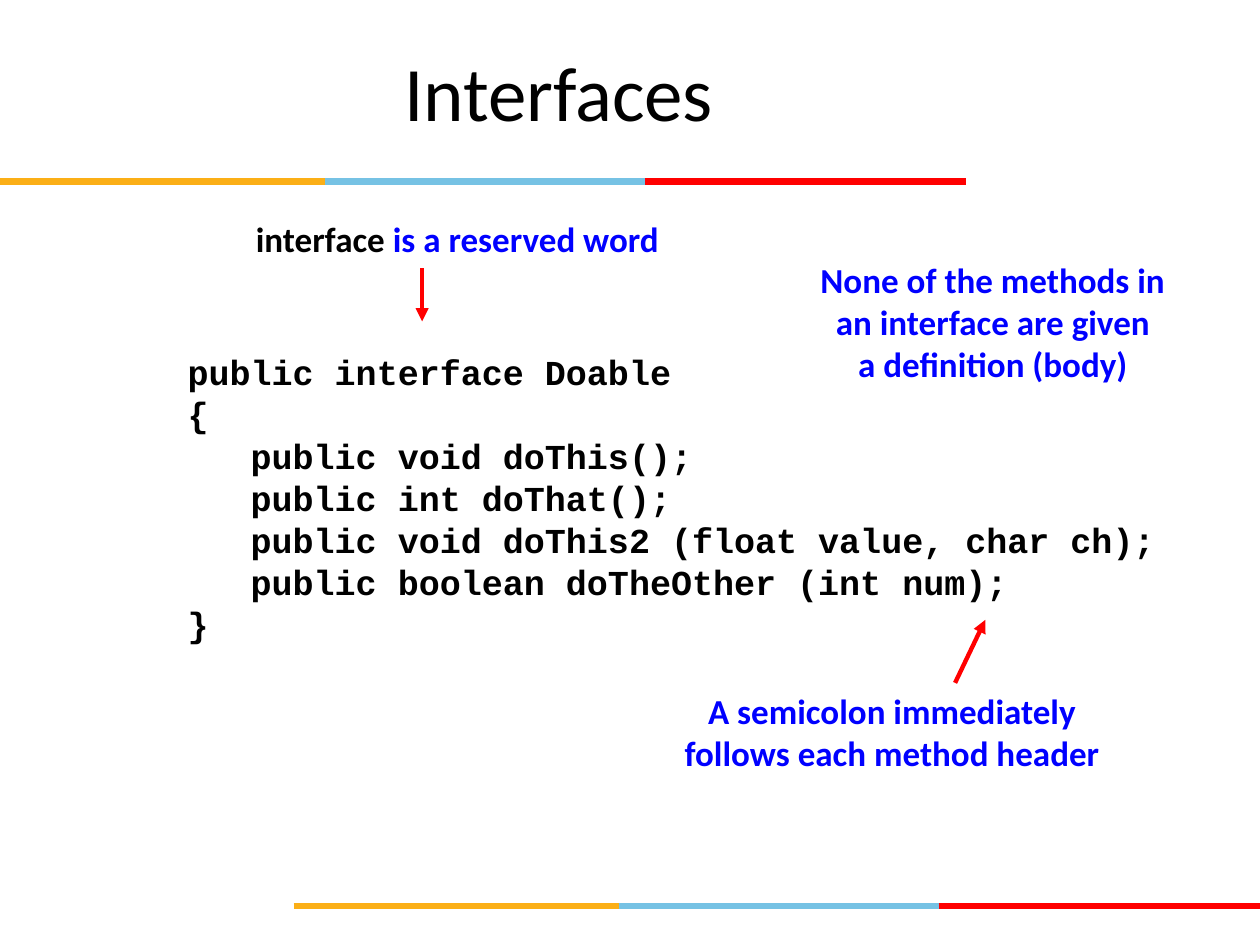
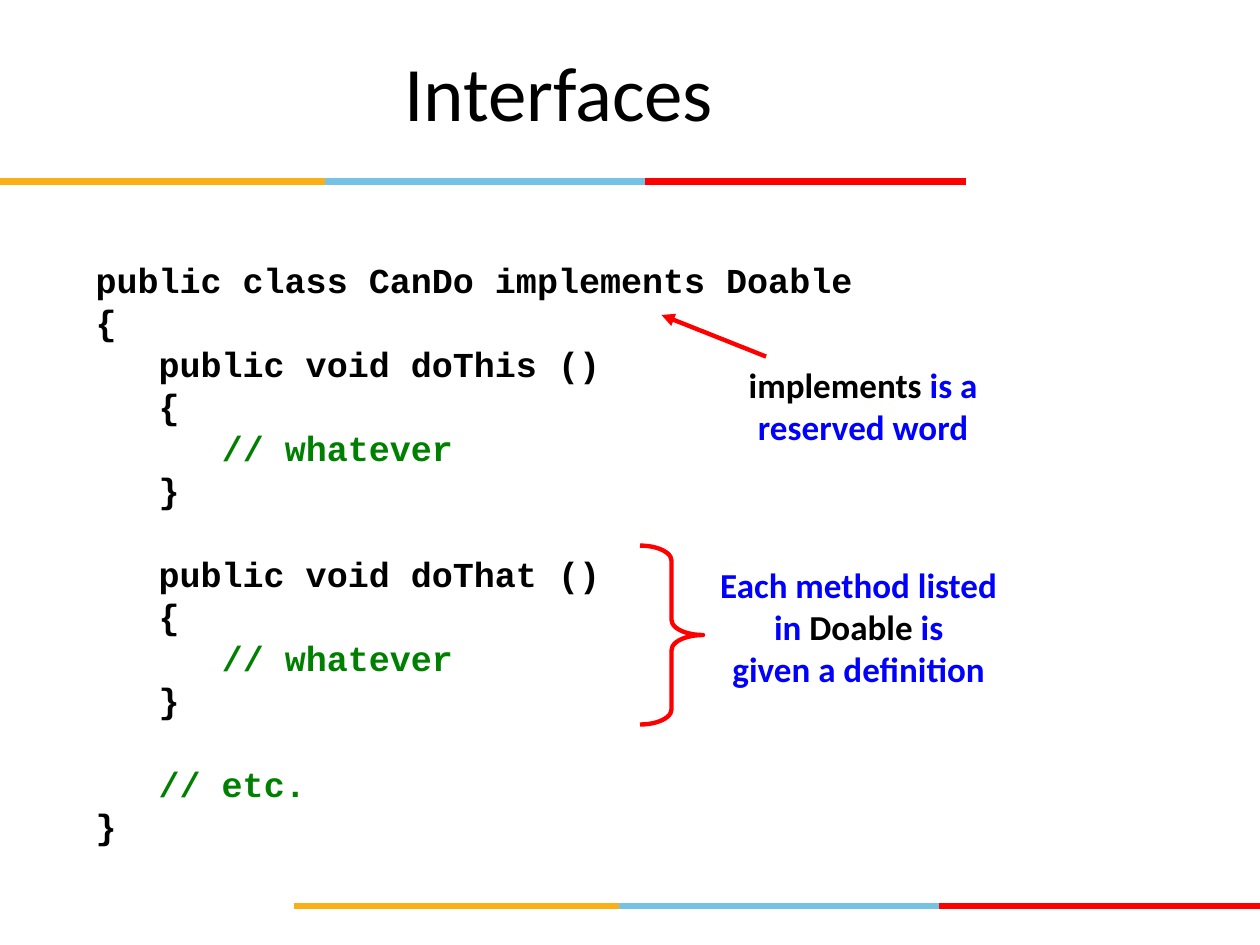
from dataclasses import dataclass

from lxml import etree
from pptx import Presentation
from pptx.dml.color import RGBColor
from pptx.enum import shapes, text
from pptx.oxml.ns import qn
from pptx.util import Inches, Pt


@dataclass(frozen=True)
class Theme:
    black: RGBColor = RGBColor(0x00, 0x00, 0x00)
    blue: RGBColor = RGBColor(0x00, 0x00, 0xFF)
    green: RGBColor = RGBColor(0x00, 0x80, 0x00)
    red: RGBColor = RGBColor(0xFF, 0x00, 0x00)
    sky: RGBColor = RGBColor(0x76, 0xC2, 0xE4)
    amber: RGBColor = RGBColor(0xFB, 0xAF, 0x17)
    title_size: Pt = Pt(44)
    text_size: Pt = Pt(20)
    code_pitch: Pt = Pt(24)
    band_width: Pt = Pt(3.63)
    mark_width: Pt = Pt(2.5)
    sans: str = "Calibri"
    mono: str = "Courier New"


T = Theme()


def add_line(s, start, end, color, width, arrow=False):
    c = s.shapes.add_connector(shapes.MSO_CONNECTOR.STRAIGHT,
                               *[Inches(v) for v in (*start, *end)])
    c.line.color.rgb = color
    c.line.width = width
    sp_pr = c.line._get_or_add_ln().getparent()
    if arrow:
        etree.SubElement(c.line._get_or_add_ln(), qn("a:tailEnd"), type="triangle")
    etree.SubElement(sp_pr, qn("a:effectLst"))


def add_text(s, box, lines, font, align, pitch=None):
    """Each line is a list of (text, color) runs; an empty line becomes space before the next."""
    sp = s.shapes.add_textbox(*[Inches(v) for v in box])
    tf = sp.text_frame
    tf.word_wrap = False
    tf.auto_size = text.MSO_AUTO_SIZE.SHAPE_TO_FIT_TEXT
    tf.vertical_anchor = text.MSO_ANCHOR.MIDDLE
    p, gap = None, False
    for line in lines:
        if not line:
            gap = True
            continue
        p = tf.add_paragraph() if p else tf.paragraphs[0]
        p.alignment = align
        if pitch:
            p.line_spacing = pitch
        if gap:
            p.space_before = pitch
        gap = False
        for words, color in line:
            r = p.add_run()
            r.text = words
            r.font.name = font
            r.font.size = T.text_size
            r.font.bold = True
            r.font.color.rgb = color


doable_code = """public interface Doable
{
   public void doThis();
   public int doThat();
   public void doThis2 (float value, char ch);
   public boolean doTheOther (int num);
}"""

can_do_code = """public class CanDo implements Doable
{
   public void doThis ()
   {
      // whatever
   }

   public void doThat ()
   {
      // whatever
   }

   // etc.
}"""

pages = [
    {
        "code": ((1.39, 2.73, 7.88, 2.44), doable_code),
        "labels": [
            ((1.92, 1.67, 3.42, 0.44),
             [[("interface", T.black), (" is a reserved word", T.blue)]]),
            ((6.41, 2, 2.94, 1.1),
             [[("None of the methods in", T.blue)],
              [("an interface are given", T.blue)],
              [("a definition (body)", T.blue)]]),
            ((5.33, 5.42, 3.5, 0.77),
             [[("A semicolon immediately", T.blue)],
              [("follows each method header", T.blue)]]),
        ],
        "arrows": [((3.35, 2.13), (3.35, 2.55)), ((7.58, 5.42), (7.82, 4.92))],
        "braces": [],
    },
    {
        "code": ((0.66, 2, 6.21, 4.77), can_do_code),
        "labels": [
            ((5.84, 2.83, 2.02, 0.77),
             [[("implements", T.black), (" is a", T.blue)],
              [("reserved word", T.blue)]]),
            ((5.61, 4.42, 2.41, 1.1),
             [[("Each method listed", T.blue)],
              [("in ", T.blue), ("Doable", T.black), (" is", T.blue)],
              [("given a definition", T.blue)]]),
        ],
        "arrows": [((6.08, 2.83), (5.25, 2.5))],
        "braces": [(5.08, 4.33, 0.5, 1.42)],
    },
]

band_stops = [(0, 2.58, T.amber), (2.58, 5.12, T.sky), (5.12, 7.67, T.red)]
band_rows = [(2.33, 7.19), (0, 1.44)]

prs = Presentation()
prs.slide_width, prs.slide_height = Inches(10), Inches(7.5)
title_only = prs.slide_layouts[5]

for page in pages:
    s = prs.slides.add_slide(title_only)

    for left, y in band_rows:
        for start, end, color in band_stops:
            add_line(s, (left + start, y), (left + end, y), color, T.band_width)

    title = s.shapes.title
    title.left, title.top = Inches(1.67), Inches(0.35)
    title.width, title.height = Inches(5.53), Inches(0.76)
    tf = title.text_frame
    tf.margin_left = tf.margin_right = tf.margin_top = tf.margin_bottom = 0
    tf.vertical_anchor = text.MSO_ANCHOR.TOP
    p = tf.paragraphs[0]
    p.alignment = text.PP_ALIGN.CENTER
    r = p.add_run()
    r.text = "Interfaces"
    r.font.name = T.sans
    r.font.size = T.title_size
    r.font.color.rgb = T.black

    box, code = page["code"]
    code_lines = []
    for line in code.splitlines():
        before, slashes, comment = line.partition("//")
        runs = [(before, T.black), (slashes + comment, T.green)]
        code_lines.append([run for run in runs if run[0]])
    add_text(s, box, code_lines, T.mono, text.PP_ALIGN.LEFT, T.code_pitch)

    for box, lines in page["labels"]:
        add_text(s, box, lines, T.sans, text.PP_ALIGN.CENTER)

    for start, end in page["arrows"]:
        add_line(s, start, end, T.red, T.mark_width, arrow=True)

    for box in page["braces"]:
        sp = s.shapes.add_shape(shapes.MSO_SHAPE.RIGHT_BRACE, *[Inches(v) for v in box])
        sp.adjustments[0] = 0.24
        sp.shadow.inherit = False
        sp.fill.background()
        sp.line.color.rgb = T.red
        sp.line.width = T.mark_width

prs.save("out.pptx")
